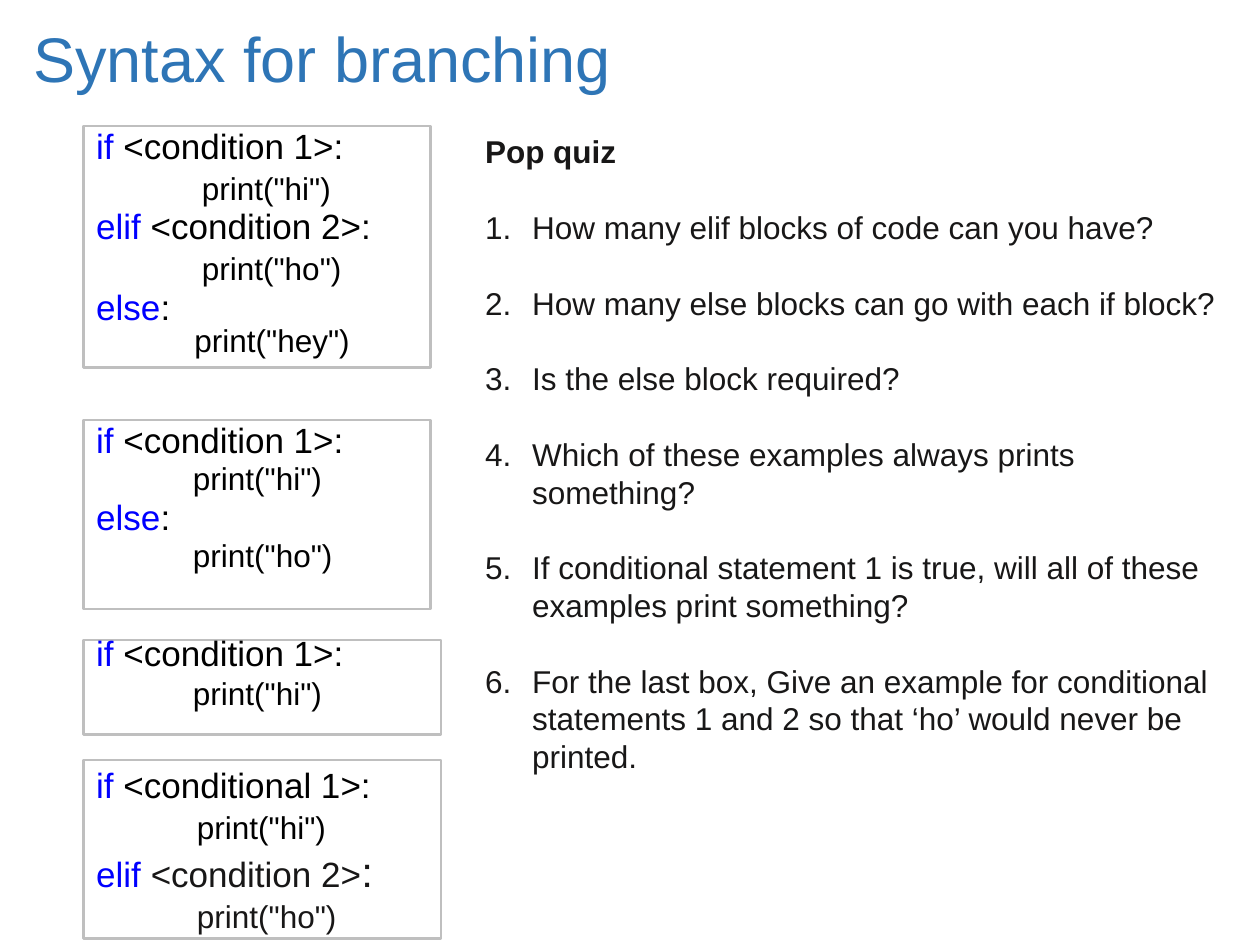
from dataclasses import dataclass

from lxml.etree import SubElement
from pptx import Presentation
from pptx.dml.color import RGBColor
from pptx.enum.shapes import MSO_SHAPE as Shape
from pptx.enum.text import MSO_ANCHOR as Anchor, MSO_AUTO_SIZE as AutoSize, PP_ALIGN as Align
from pptx.oxml.ns import qn
from pptx.util import Cm, Pt

INK, BLACK, KEYWORD = "181717", "000000", "0000FF"


def rgb(value):
    return RGBColor.from_string(value)


def add_text(paragraph, text, size=18, color=BLACK, bold=False, font="Arial"):
    run = paragraph.add_run()
    run.text = text
    run.font.name = font
    run.font.size = Pt(size)
    run.font.bold = bold
    run.font.color.rgb = rgb(color)


def add_paragraph(frame, before=0, line=18, margin=0, indent=0, numbered=False):
    paragraph = frame.paragraphs[0]
    if paragraph.runs:
        paragraph = frame.add_paragraph()
        paragraph.space_before = Pt(before)
    paragraph.line_spacing = Pt(line)
    paragraph.alignment = Align.LEFT
    properties = paragraph._p.get_or_add_pPr()
    properties.set("marL", str(Cm(margin)))
    properties.set("indent", str(Cm(indent)))
    if numbered:
        SubElement(properties, qn("a:buFont"), typeface="+mj-lt")
        SubElement(properties, qn("a:buAutoNum"), type="arabicPeriod")
    return paragraph


@dataclass
class Deck:
    slide: object
    title_color: str = "2E75B6"
    border: str = "BFBFBF"
    fill: str = "FFFFFF"
    code_margin: float = 1.27

    def title(self, text, left, top, width, height):
        title = self.slide.shapes.title
        title.left, title.top, title.width, title.height = map(Cm, (left, top, width, height))
        frame = title.text_frame
        frame.auto_size = AutoSize.NONE
        frame.vertical_anchor = Anchor.MIDDLE
        frame.paragraphs[0].alignment = Align.LEFT
        add_text(frame.paragraphs[0], text, size=36, color=self.title_color)

    def box(self, left, top, width, height):
        box = self.slide.shapes.add_shape(Shape.RECTANGLE, *map(Cm, (left, top, width, height)))
        box.shadow.inherit = False
        box.fill.solid()
        box.fill.fore_color.rgb = rgb(self.fill)
        box.line.color.rgb = rgb(self.border)
        box.line.width = Pt(1.5)

    def text_frame(self, left, top, width, height, inset=0.13):
        text_box = self.slide.shapes.add_textbox(*map(Cm, (left, top, width, height)))
        frame = text_box.text_frame
        frame.word_wrap = True
        frame.margin_top = Cm(inset)
        return frame

    def code(self, lines, left, top, width, height, inset):
        frame = self.text_frame(left, top, width, height, inset)
        for before, margin, spans in lines:
            paragraph = add_paragraph(frame, before, margin=margin or self.code_margin)
            for text, size, color in spans:
                add_text(paragraph, text, size=size, color=color)

    def quiz(self, heading, questions, left, top, width, height):
        frame = self.text_frame(left, top, width, height)
        add_text(add_paragraph(frame, line=21.6), heading, color=INK, bold=True)
        for question in questions:
            paragraph = add_paragraph(frame, 21.6, 21.6, 0.95, -0.95, numbered=True)
            add_text(paragraph, question, color=INK)


def branch(keyword, rest, before=5):
    return before, None, [(keyword, 20, KEYWORD), (rest, 20, BLACK)]


def output(word, margin, before=5, color=BLACK):
    return before, margin, [(f'print("{word}")', 18, color)]


def main():
    presentation = Presentation()
    presentation.slide_width, presentation.slide_height = Cm(25.4), Cm(19.05)
    deck = Deck(presentation.slides.add_slide(presentation.slide_layouts[5]))

    deck.title("Syntax for branching", 0.42, 0.53, 22.23, 1.27)
    for top, width, height in (
        (2.54, 6.99, 4.87),
        (8.47, 6.99, 3.81),
        (12.9, 7.2, 1.91),
        (15.32, 7.2, 3.6),
    ):
        deck.box(1.69, top, width, height)

    deck.quiz("Pop quiz", [
        "How many elif blocks of code can you have?",
        "How many else blocks can go with each if block?",
        "Is the else block required?",
        "Which of these examples always prints something?",
        "If conditional statement 1 is true, will all of these examples print something?",
        "For the last box, Give an example for conditional statements 1 and 2 "
        "so that ‘ho’ would never be printed.",
    ], 9.53, 2.54, 15.37, 13.34)

    deck.code([
        branch("if", " <condition 1>:"),
        output("hi", 3.4),
        branch("elif", " <condition 2>:"),
        output("ho", 3.4),
        branch("else", ":"),
        output("hey", 3.25, before=0),
        branch("if", " <condition 1>:", before=40),
        output("hi", 3.22, before=3),
        branch("else", ":"),
        output("ho", 3.22, before=3),
        branch("if", " <condition 1>:", before=39),
        output("hi", 3.22, before=4),
    ], 0.42, 2.54, 8.5, 15.04, inset=0.18)

    deck.code([
        branch("if", " <conditional 1>:"),
        output("hi", 3.3),
        (11, None, [("elif ", 20, KEYWORD), ("<condition 2>", 20, INK), (":", 24, INK)]),
        output("ho", 3.3, before=4, color=INK),
    ], 0.42, 15.24, 7.62, 3.81, inset=0.36)

    presentation.save("out.pptx")


if __name__ == "__main__":
    main()
